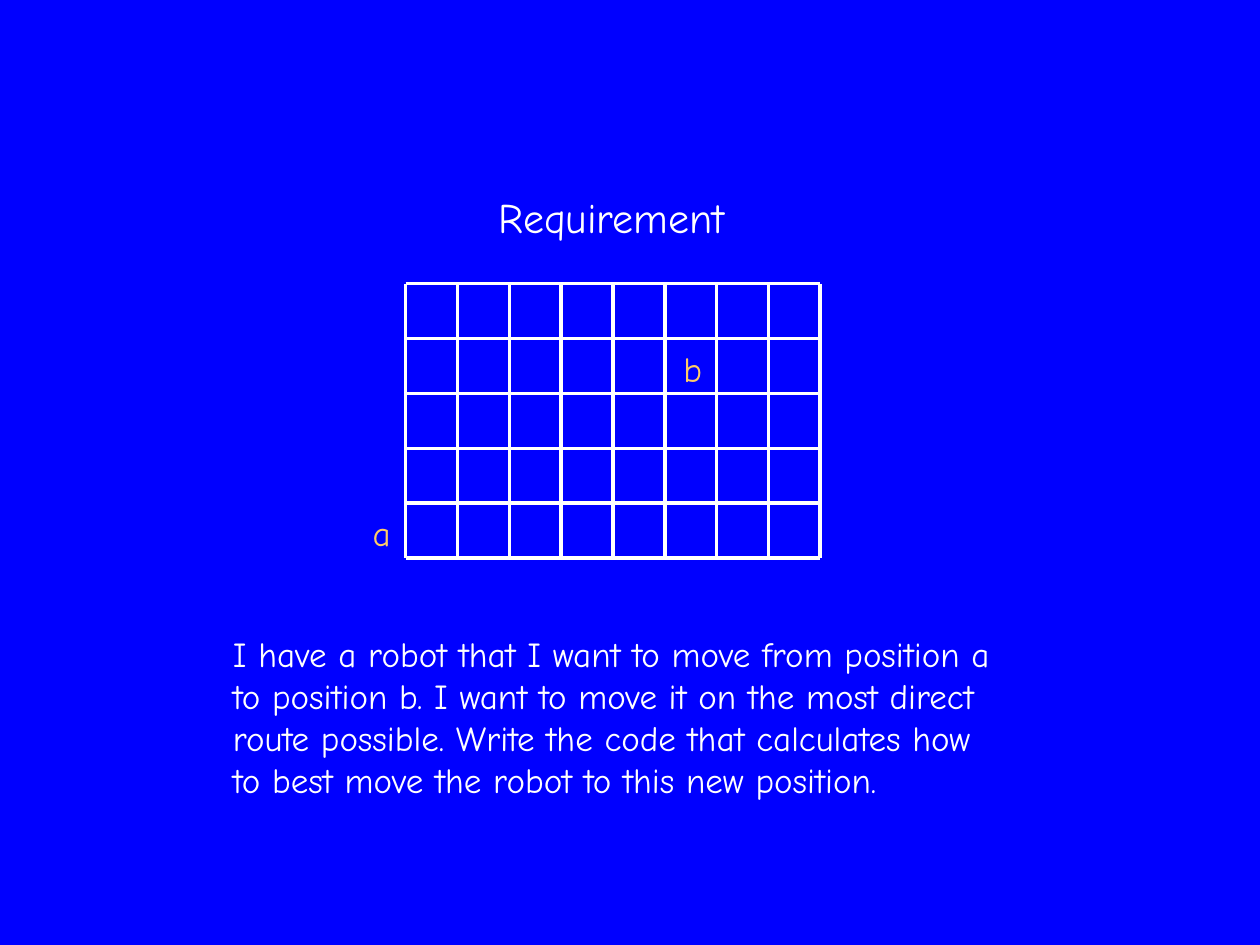
from lxml.etree import SubElement
from pptx import Presentation
from pptx.dml.color import RGBColor
from pptx.enum.shapes import MSO_CONNECTOR
from pptx.oxml.ns import qn
from pptx.util import Inches, Pt

BLUE = RGBColor(0x00, 0x00, 0xFF)
WHITE = RGBColor(0xFF, 0xFF, 0xFF)
GOLD = RGBColor(0xFF, 0xCC, 0x66)
FONT = "Comic Neue"

# Content
TITLE = ["Requirement"]
TASK = [
    "I have a robot that I want to move from position a",
    "to position b. I want to move it on the most direct",
    "route possible. Write the code that calculates how",
    "to best move the robot to this new position.",
]
# Position label: (column, row) of its cell in the grid
POSITIONS = {"a": (-1, 4), "b": (5, 1)}

# Grid, in inches
COLS, ROWS = 8, 5
LEFT, TOP, RIGHT, BOTTOM = 3.22, 2.25, 6.51, 4.43
CELL_W, CELL_H = (RIGHT - LEFT) / COLS, (BOTTOM - TOP) / ROWS

prs = Presentation()
prs.slide_width, prs.slide_height = Inches(10), Inches(7.5)
s = prs.slides.add_slide(prs.slide_layouts[6])
s.background.fill.solid()
s.background.fill.fore_color.rgb = BLUE


def add_text(lines, x, y, w, h, size=20, color=WHITE):
    tf = s.shapes.add_textbox(*map(Inches, (x, y, w, h))).text_frame
    tf.word_wrap = True
    for i, line in enumerate(lines):
        p = tf.paragraphs[0] if i == 0 else tf.add_paragraph()
        r = p.add_run()
        r.text = line
        r.font.name, r.font.size = FONT, Pt(size)
        r.font.color.rgb = color


def add_line(x1, y1, x2, y2):
    line = s.shapes.add_connector(
        MSO_CONNECTOR.STRAIGHT, *map(Inches, (x1, y1, x2, y2)))
    line.line.color.rgb = WHITE
    line.line.width = Pt(2)
    SubElement(line._element.spPr, qn("a:effectLst"))


# Title
add_text(TITLE, 3.86, 1.47, 2.17, 0.5, size=24)

# Grid lines
for row in range(ROWS + 1):
    y = TOP + row * CELL_H
    add_line(LEFT, y, RIGHT, y)
for col in range(COLS + 1):
    x = LEFT + col * CELL_W
    add_line(x, TOP, x, BOTTOM)

# Task description
add_text(TASK, 1.75, 4.97, 6.84, 1.45)

# Position labels, each in its cell
for name, (col, row) in POSITIONS.items():
    add_text([name], LEFT + col * CELL_W + 0.05, TOP + row * CELL_H + 0.02,
             0.37, 0.43, color=GOLD)

prs.save("out.pptx")
